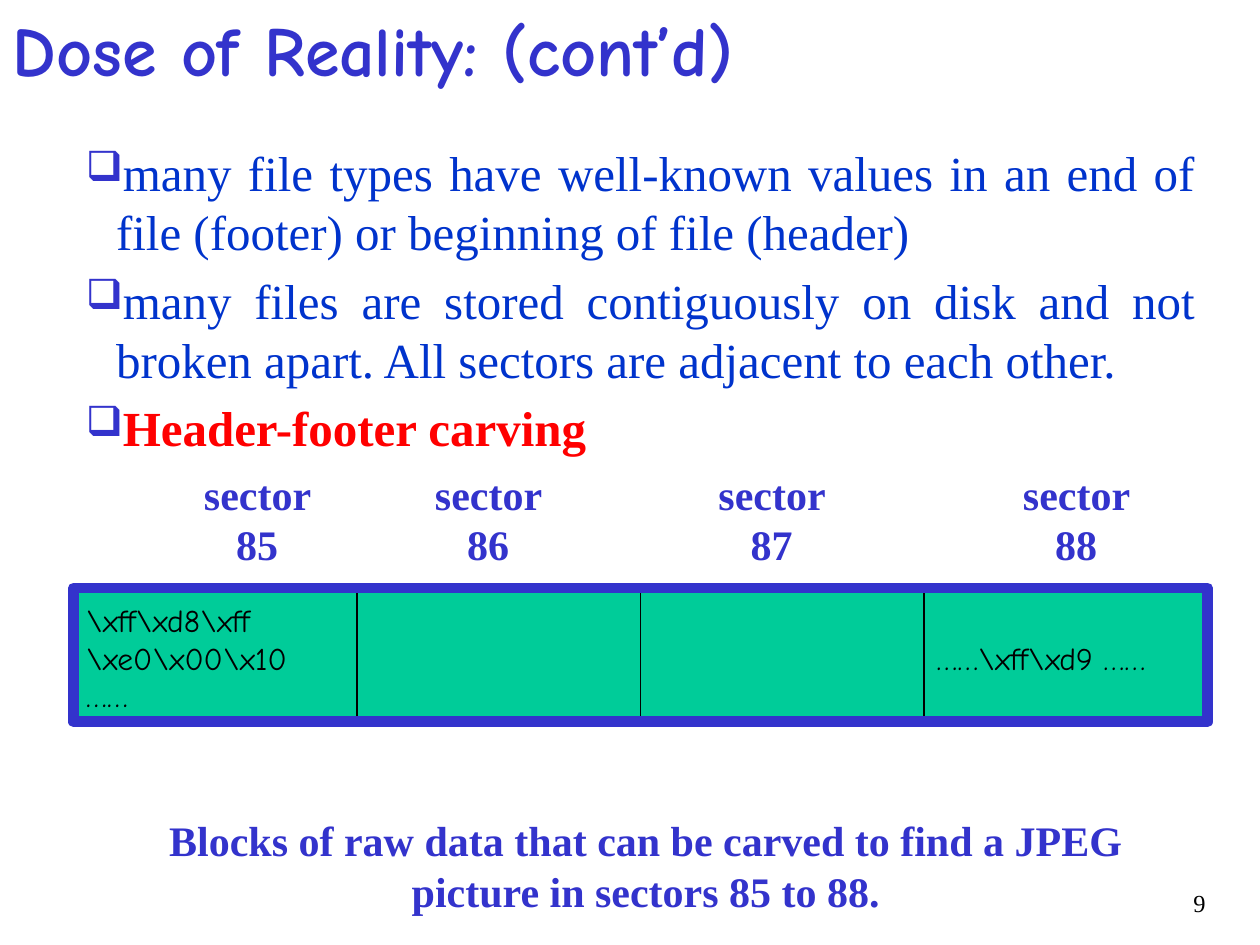
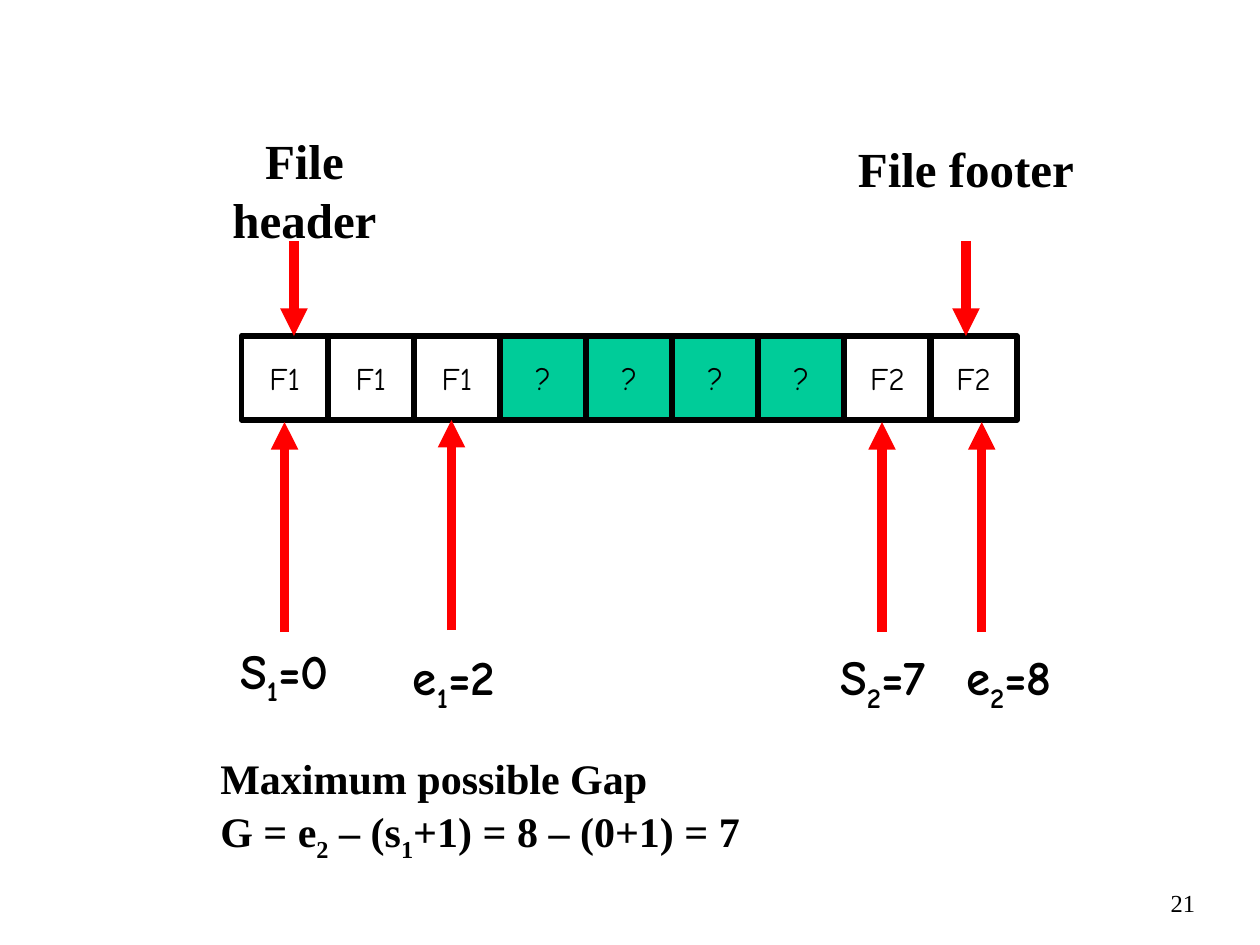
from dataclasses import dataclass

import pptx
import pptx.dml.color
import pptx.enum.shapes
import pptx.enum.text
import pptx.oxml
import pptx.oxml.ns
import pptx.util

ALIGN = pptx.enum.text.PP_ALIGN
ANCHOR = pptx.enum.text.MSO_ANCHOR
COLUMNS, ROWS = 120, 90
WIDTH, HEIGHT = pptx.util.Inches(10), pptx.util.Inches(7.5)
TITLE_ONLY, BLANK = 5, 6


@dataclass(frozen=True)
class Theme:
    serif: str = "Times New Roman"
    comic: str = "Comic Neue"
    black: str = "000000"
    indigo: str = "3333CC"
    blue: str = "0033CC"
    red: str = "FF0000"
    green: str = "00CC99"
    title: int = 40
    body: int = 28
    caption: int = 24
    cell: int = 18
    number: int = 14


THEME = Theme()


@dataclass(frozen=True)
class Style:
    size: int
    color: str = THEME.black
    font: str = THEME.serif
    bold: bool = True
    align: ALIGN = ALIGN.CENTER
    anchor: ANCHOR = ANCHOR.TOP


TITLE = Style(THEME.title, THEME.indigo, THEME.comic, align=ALIGN.LEFT)
BODY = Style(THEME.body, THEME.blue, bold=False, align=ALIGN.JUSTIFY)
CAPTION = Style(THEME.caption, THEME.indigo)
HEADING = Style(THEME.body, anchor=ANCHOR.MIDDLE)
INDEX = Style(THEME.body, font=THEME.comic, anchor=ANCHOR.MIDDLE)
FORMULA = Style(THEME.caption, align=ALIGN.LEFT)
SECTOR_DATA = Style(THEME.cell, font=THEME.comic, bold=False, align=ALIGN.LEFT, anchor=ANCHOR.MIDDLE)
BLOCK = Style(THEME.cell, font=THEME.comic, bold=False, anchor=ANCHOR.MIDDLE)
NUMBER = Style(THEME.number, bold=False, align=ALIGN.RIGHT)


def across(columns):
    return round(WIDTH * columns / COLUMNS)


def down(rows):
    return round(HEIGHT * rows / ROWS)


def area(left, top, width, height):
    return across(left), down(top), across(width), down(height)


def rgb(value):
    return pptx.dml.color.RGBColor.from_string(value)


def drawing_element(tag, **attributes):
    element = pptx.oxml.parse_xml(f"<a:{tag} {pptx.oxml.ns.nsdecls('a')}/>")
    for name, value in attributes.items():
        element.set(name, value)
    return element


def format_paragraph(paragraph, style):
    paragraph.alignment = style.align
    for run in paragraph.runs:
        run.font.name = style.font
        run.font.size = pptx.util.Pt(style.size)
        run.font.bold = style.bold
        run.font.color.rgb = rgb(style.color)


def write(shape, text, style):
    frame = shape.text_frame
    frame.word_wrap = True
    frame.auto_size = pptx.enum.text.MSO_AUTO_SIZE.NONE
    frame.vertical_anchor = style.anchor
    frame.text = text
    for paragraph in frame.paragraphs:
        format_paragraph(paragraph, style)


def add_text(slide, box, text, style):
    shape = slide.shapes.add_textbox(*area(*box))
    write(shape, text, style)
    return shape


def add_title(slide, text):
    title = slide.shapes.title
    title.left, title.top, title.width, title.height = area(0, 0, 112, 9)
    write(title, text, TITLE)


def add_number(slide, number, left):
    add_text(slide, (left, 84, 10, 6), str(number), NUMBER)


def add_rectangle(slide, box, fill, line, weight):
    shape = slide.shapes.add_shape(pptx.enum.shapes.MSO_SHAPE.RECTANGLE, *area(*box))
    shape.shadow.inherit = False
    if fill:
        shape.fill.solid()
        shape.fill.fore_color.rgb = rgb(fill)
    else:
        shape.fill.background()
    shape.line.color.rgb = rgb(line)
    shape.line.width = pptx.util.Pt(weight)
    return shape


def add_arrow(slide, start, end):
    arrow = slide.shapes.add_connector(
        pptx.enum.shapes.MSO_CONNECTOR.STRAIGHT,
        across(start[0]), down(start[1]), across(end[0]), down(end[1]))
    arrow.line.color.rgb = rgb(THEME.red)
    arrow.line.width = pptx.util.Pt(5.25)
    arrow.line._get_or_add_ln().append(drawing_element("tailEnd", type="triangle"))
    arrow._element.spPr.append(drawing_element("effectLst"))


def add_bullets(slide, box, items, style):
    shape = add_text(slide, box, "\n".join(items), style)
    for position, paragraph in enumerate(shape.text_frame.paragraphs):
        if position:
            paragraph.space_before = pptx.util.Pt(0.2 * style.size)
        properties = paragraph._p.get_or_add_pPr()
        indent = pptx.util.Inches(0.24)
        properties.set("marL", str(indent))
        properties.set("indent", str(-indent))
        color = drawing_element("buClr")
        color.append(drawing_element("srgbClr", val=THEME.indigo))
        properties.append(color)
        properties.append(drawing_element("buSzPct", val="85000"))
        properties.append(drawing_element("buChar", char="❑"))
    return shape


def fill_with_subscripts(paragraph, pieces, style):
    for position, piece in enumerate(pieces):
        run = paragraph.add_run()
        run.text = piece
        if position % 2:
            run._r.get_or_add_rPr().set("baseline", "-25000")
    format_paragraph(paragraph, style)


def build_carving_slide(presentation):
    slide = presentation.slides.add_slide(presentation.slide_layouts[TITLE_ONLY])
    add_title(slide, "Dose of Reality: (cont’d)")
    bullets = add_bullets(slide, (7, 13, 108, 31), [
        "many file types have well-known values in an end of file (footer) or beginning of file (header)",
        "many files are stored contiguously on disk and not broken apart. All sectors are adjacent to each other.",
        "Header-footer carving",
    ], BODY)
    carving = bullets.text_frame.paragraphs[-1].runs[0].font
    carving.color.rgb = rgb(THEME.red)
    carving.bold = True

    sectors = [
        (85, 16, "\\xff\\xd8\\xff\n\\xe0\\x00\\x10\n……"),
        (86, 38, ""),
        (87, 65, ""),
        (88, 94, "……\\xff\\xd9 ……"),
    ]
    for position, (sector, label_left, data) in enumerate(sectors):
        add_text(slide, (label_left, 44, 17, 11), f"sector {sector}", CAPTION)
        cell = add_rectangle(slide, (7 + 27 * position, 56.25, 27, 12.75),
                             THEME.green, THEME.black, 0.75)
        if data:
            write(cell, data, SECTOR_DATA)
    add_rectangle(slide, (7, 56, 108, 12.75), None, THEME.indigo, 6.25)
    add_text(slide, (12, 77, 99, 11),
             "Blocks of raw data that can be carved to find a JPEG picture in sectors 85 to 88.",
             CAPTION)
    add_number(slide, 9, 106)


def build_gap_slide(presentation):
    slide = presentation.slides.add_slide(presentation.slide_layouts[BLANK])
    blocks = ["F1"] * 3 + ["?"] * 4 + ["F2"] * 2
    for position, name in enumerate(blocks):
        fill = THEME.green if name == "?" else None
        block = add_rectangle(slide, (23 + 8.2 * position, 32, 8.25, 8), fill, THEME.black, 3.25)
        write(block, name, BLOCK)

    for text, left, top, arrow in [("File header", 17, 13, 28), ("File footer", 80, 11, 92)]:
        add_text(slide, (left, top, 24, 10), text, HEADING)
        add_arrow(slide, (arrow, 23), (arrow, 32))

    indexes = [
        (("S", "1", "=0"), 17.25, 61.4, 27.1, 40.2),
        (("e", "1", "=2"), 33.4, 62, 43, 40),
        (("S", "2", "=7"), 74.25, 62, 84, 40.2),
        (("e", "2", "=8"), 86.25, 62, 93.5, 40.2),
    ]
    for pieces, left, top, arrow, tip in indexes:
        add_arrow(slide, (arrow, tip + 20), (arrow, tip))
        label = add_text(slide, (left, top, 19.7, 5.6), "", INDEX)
        fill_with_subscripts(label.text_frame.paragraphs[0], pieces, INDEX)

    formula = add_text(slide, (19.8, 72, 80.6, 12), "Maximum possible Gap", FORMULA)
    equation = formula.text_frame.add_paragraph()
    fill_with_subscripts(equation, ("G = e", "2", " – (s", "1", "+1) = 8 – (0+1) = 7"), FORMULA)
    equation.space_before = pptx.util.Pt(0.2 * FORMULA.size)
    for paragraph in formula.text_frame.paragraphs:
        paragraph.line_spacing = 0.8
    add_number(slide, 21, 105)


def main():
    presentation = pptx.Presentation()
    presentation.slide_width, presentation.slide_height = WIDTH, HEIGHT
    build_carving_slide(presentation)
    build_gap_slide(presentation)
    presentation.save("out.pptx")


if __name__ == "__main__":
    main()
